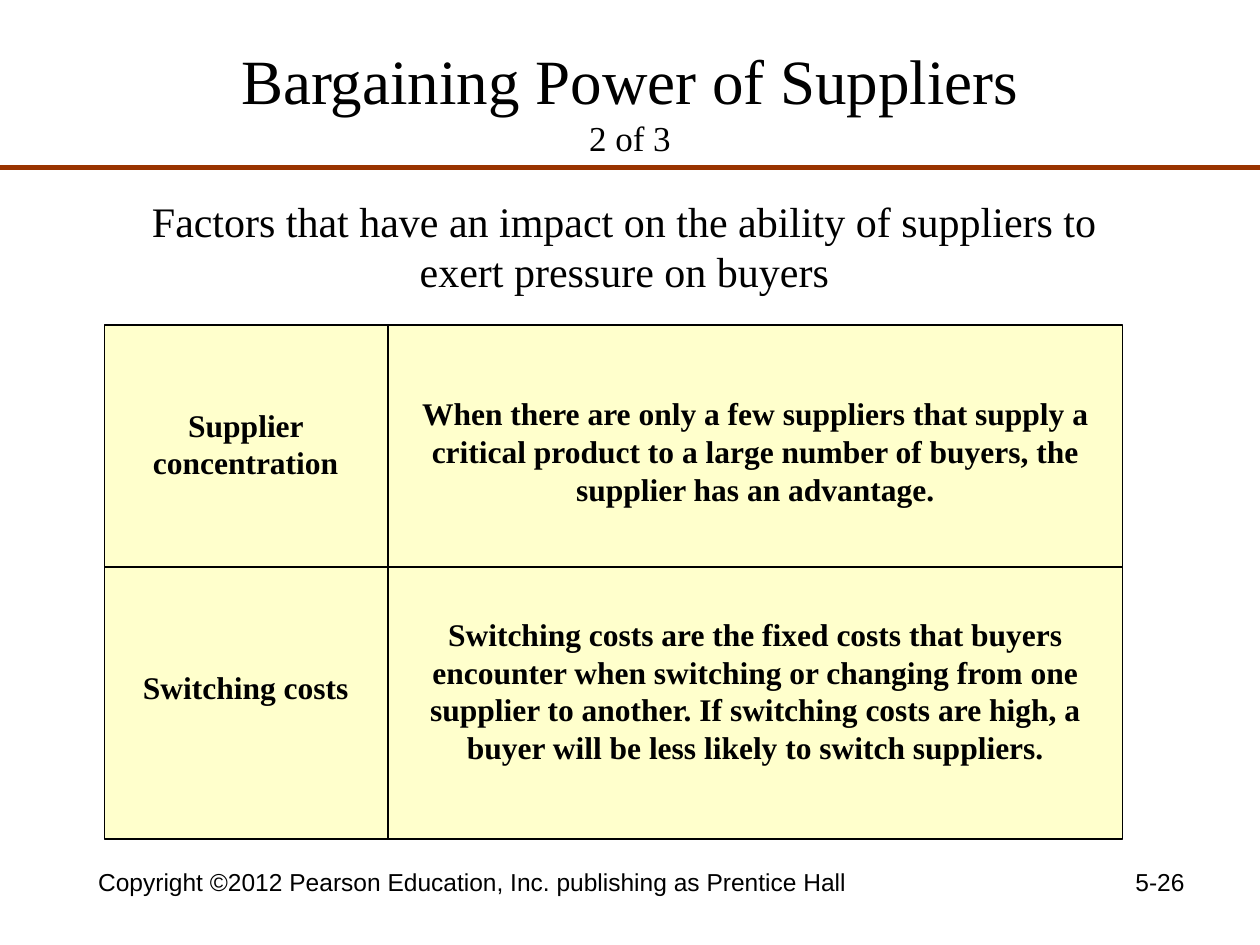
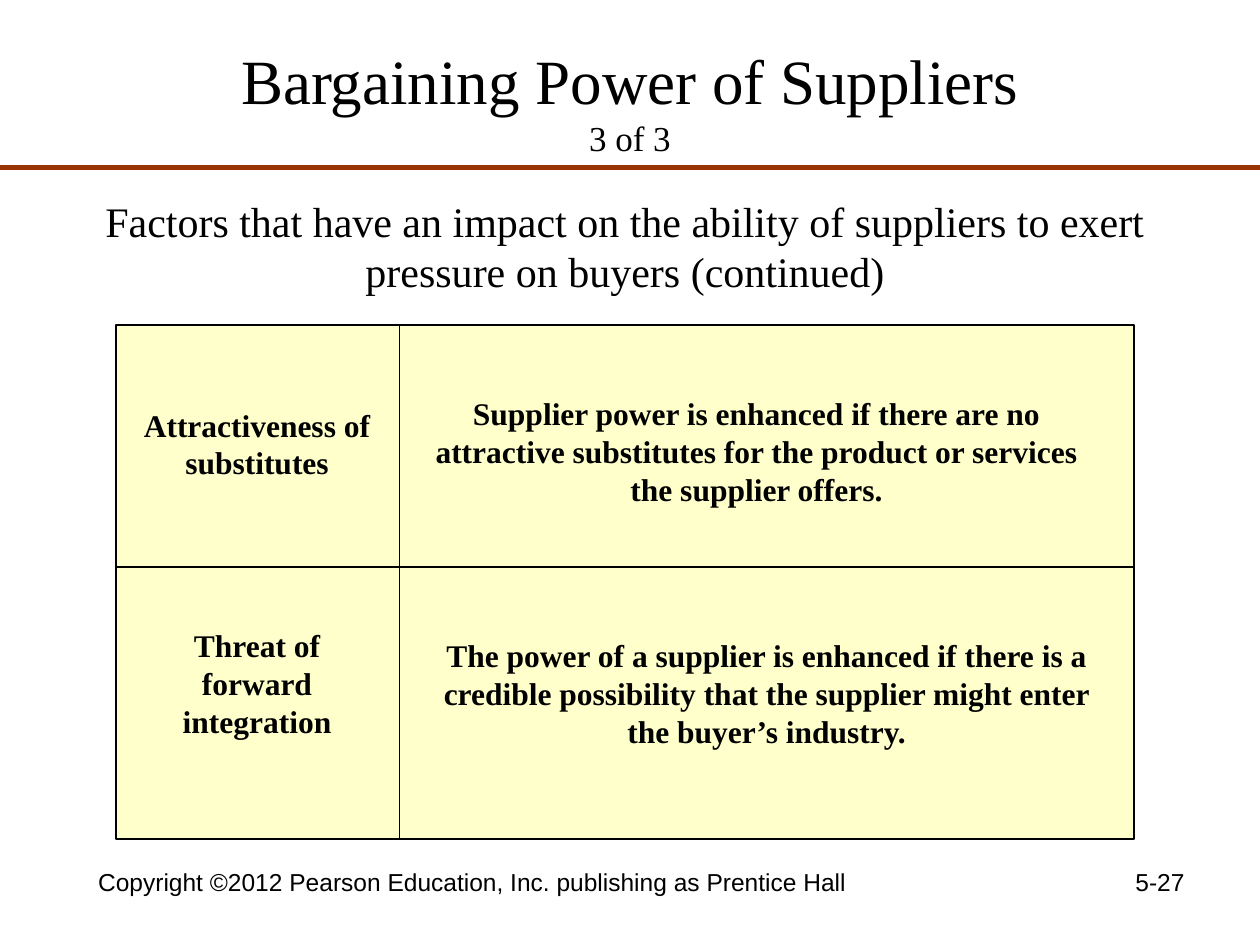
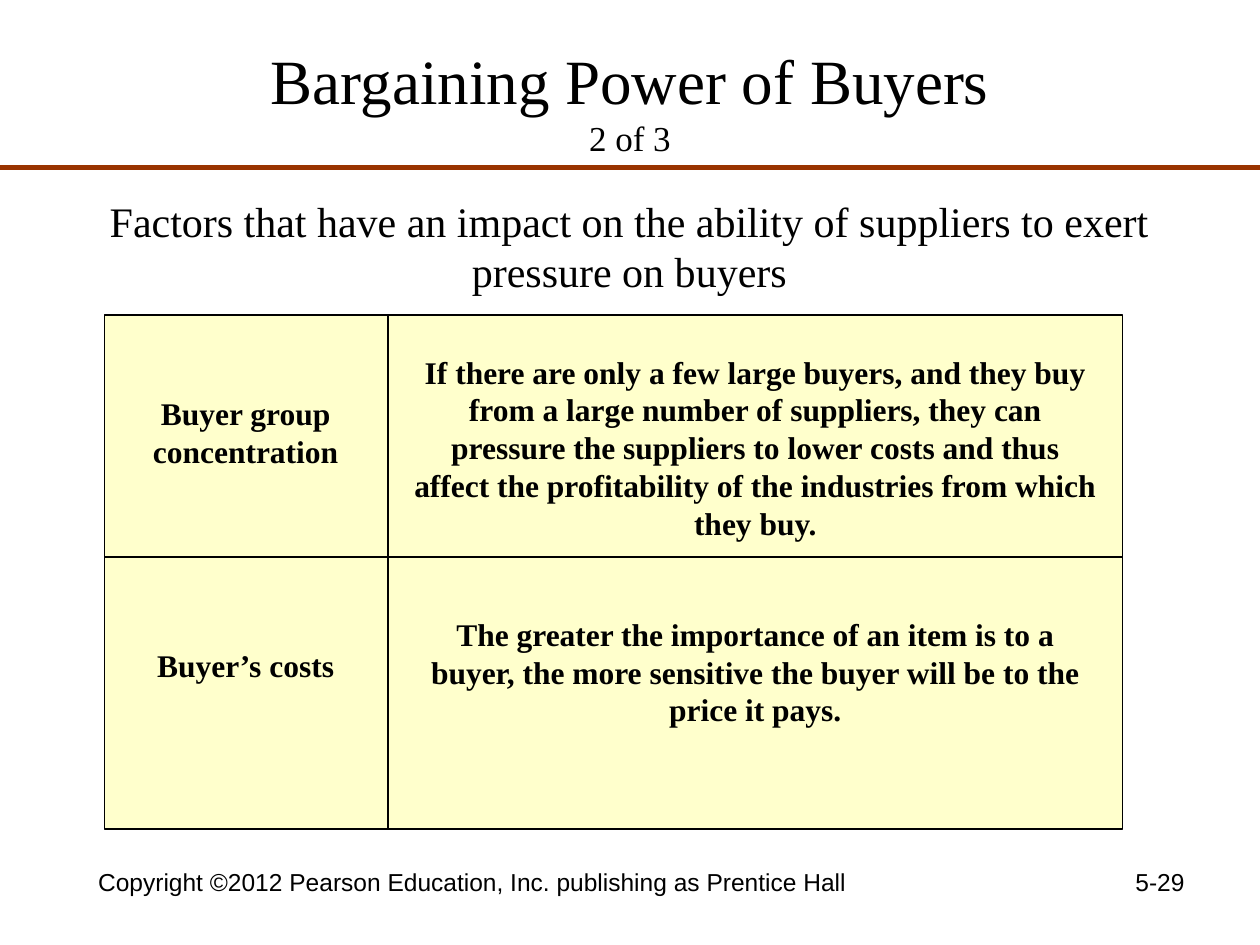
from pptx import Presentation
from pptx.dml.color import RGBColor
from pptx.enum import shapes, text
from pptx.oxml.ns import qn
from pptx.util import Inches, Pt
from lxml import etree

BLACK = RGBColor(0x00, 0x00, 0x00)
RULE_BROWN = RGBColor(0x99, 0x33, 0x00)
PANEL_YELLOW = RGBColor(0xFF, 0xFF, 0xCC)
SERIF, SANS = "Times New Roman", "Arial"
CENTER, RIGHT = text.PP_ALIGN.CENTER, text.PP_ALIGN.RIGHT

COPYRIGHT = "Copyright ©2012 Pearson Education, Inc. publishing as Prentice Hall"
LEAD = "Factors that have an impact on the ability of suppliers to exert pressure on buyers"

# Factor panel: size, divider offsets and text columns, in inches
PANEL_WIDTH, PANEL_HEIGHT = 8.08, 4.08
ROW_DIVIDER, COLUMN_DIVIDER = 1.92, 2.25
CELL_GAP = 0.08
NAME_WIDTH, EFFECT_WIDTH = 2.08, 5.67
LINE_HEIGHT, BOX_PADDING = 0.3, 0.1

# Each factor: name, its top and lines, effect, its top and lines (tops from the panel)
SLIDES = [
    dict(title="Bargaining Power of Suppliers", part="2 of 3", number="5-26",
         lead=LEAD, lead_box=(0.83, 8.25), panel=(0.83, 2.58),
         factors=[
             ("Supplier concentration", 0.59, 2,
              "When there are only a few suppliers that supply a critical product to a "
              "large number of buyers, the supplier has an advantage.", 0.5, 3),
             ("Switching costs", 2.67, 1,
              "Switching costs are the fixed costs that buyers encounter when switching or "
              "changing from one supplier to another. If switching costs are high, a buyer "
              "will be less likely to switch suppliers.", 2.25, 4)]),
    dict(title="Bargaining Power of Suppliers", part="3 of 3", number="5-27",
         lead=LEAD + " (continued)", lead_box=(0.67, 8.58), panel=(0.92, 2.58),
         effect_shifts=(-0.08, 0),
         factors=[
             ("Attractiveness of substitutes", 0.59, 2,
              "Supplier power is enhanced if there are no attractive substitutes for the "
              "product or services the supplier offers.", 0.5, 3),
             ("Threat of forward integration", 2.34, 3,
              "The power of a supplier is enhanced if there is a credible possibility that "
              "the supplier might enter the buyer’s industry.", 2.42, 3)]),
    dict(title="Bargaining Power of Buyers", part="2 of 3", number="5-29",
         lead=LEAD, lead_box=(0.58, 8.83), panel=(0.83, 2.5),
         factors=[
             ("Buyer group concentration", 0.58, 2,
              "If there are only a few large buyers, and they buy from a large number of "
              "suppliers, they can pressure the suppliers to lower costs and thus affect "
              "the profitability of the industries from which they buy.", 0.25, 5),
             ("Buyer’s costs", 2.58, 1,
              "The greater the importance of an item is to a buyer, the more sensitive the "
              "buyer will be to the price it pays.", 2.33, 3)]),
]


def style_runs(paragraph, size, font=SERIF, bold=False):
    for run in paragraph.runs:
        run.font.name = font
        run.font.size = Pt(size)
        run.font.bold = bold
        run.font.color.rgb = BLACK


def add_text(slide, box, words, size, font=SERIF, bold=False, align=CENTER):
    shape = slide.shapes.add_textbox(*map(Inches, box))
    shape.text_frame.word_wrap = True
    shape.text_frame.text = words
    paragraph = shape.text_frame.paragraphs[0]
    paragraph.alignment = align
    style_runs(paragraph, size, font, bold)


def add_line(slide, start, end, color, width):
    line = slide.shapes.add_connector(
        shapes.MSO_CONNECTOR.STRAIGHT, *map(Inches, (*start, *end)))
    line.line.color.rgb = color
    line.line.width = Pt(width)
    etree.SubElement(line._element.spPr, qn("a:effectLst"))
    return line


def add_header(slide, title, part):
    """Title with the part number below it, over a full-width rule."""
    shape = slide.shapes.title
    shape.left, shape.top, shape.width, shape.height = map(Inches, (0.5, 0.17, 9, 1.25))
    frame = shape.text_frame
    frame.text = f"{title}\v{part}"
    frame.vertical_anchor = text.MSO_ANCHOR.MIDDLE
    paragraph = frame.paragraphs[0]
    paragraph.alignment = CENTER
    style_runs(paragraph, 36)
    paragraph.runs[-1].font.size = Pt(20)
    add_line(slide, (0, 1.33), (10, 1.33), RULE_BROWN, 3)


def add_panel(slide, left, top, factors, effect_shifts=(0, 0)):
    """Yellow two-by-two panel: factor names on the left, effects on the right."""
    panel = slide.shapes.add_shape(
        shapes.MSO_SHAPE.RECTANGLE,
        *map(Inches, (left, top, PANEL_WIDTH, PANEL_HEIGHT)))
    panel.shadow.inherit = False
    panel.fill.solid()
    panel.fill.fore_color.rgb = PANEL_YELLOW
    panel.line.color.rgb = BLACK
    panel.line.width = Pt(0.75)

    row_y, column_x = top + ROW_DIVIDER, left + COLUMN_DIVIDER
    add_line(slide, (left, row_y), (left + PANEL_WIDTH, row_y), BLACK, 0.75)
    add_line(slide, (column_x, top), (column_x, top + PANEL_HEIGHT), BLACK, 0.75)

    for factor, shift in zip(factors, effect_shifts):
        name, name_top, name_lines, effect, effect_top, effect_lines = factor
        cells = [(left + CELL_GAP, name_top, NAME_WIDTH, name_lines, name),
                 (column_x + CELL_GAP + shift, effect_top, EFFECT_WIDTH, effect_lines, effect)]
        for cell_left, offset, width, lines, words in cells:
            height = lines * LINE_HEIGHT + BOX_PADDING
            add_text(slide, (cell_left, top + offset, width, height), words, 18, bold=True)


def add_footer(slide, number):
    add_text(slide, (0.5, 6.83, 6.5, 0.52), COPYRIGHT, 14, SANS)
    add_text(slide, (7.17, 6.83, 2.33, 0.52), number, 14, SANS, align=RIGHT)


def add_factor_slide(presentation, content):
    slide = presentation.slides.add_slide(presentation.slide_layouts[5])
    add_header(slide, content["title"], content["part"])
    lead_left, lead_width = content["lead_box"]
    add_text(slide, (lead_left, 1.5, lead_width, 0.9), content["lead"], 24)
    add_panel(slide, *content["panel"], content["factors"],
              content.get("effect_shifts", (0, 0)))
    add_footer(slide, content["number"])


def main():
    presentation = Presentation()
    presentation.slide_width, presentation.slide_height = Inches(10), Inches(7.5)
    for content in SLIDES:
        add_factor_slide(presentation, content)
    presentation.save("out.pptx")


if __name__ == "__main__":
    main()
